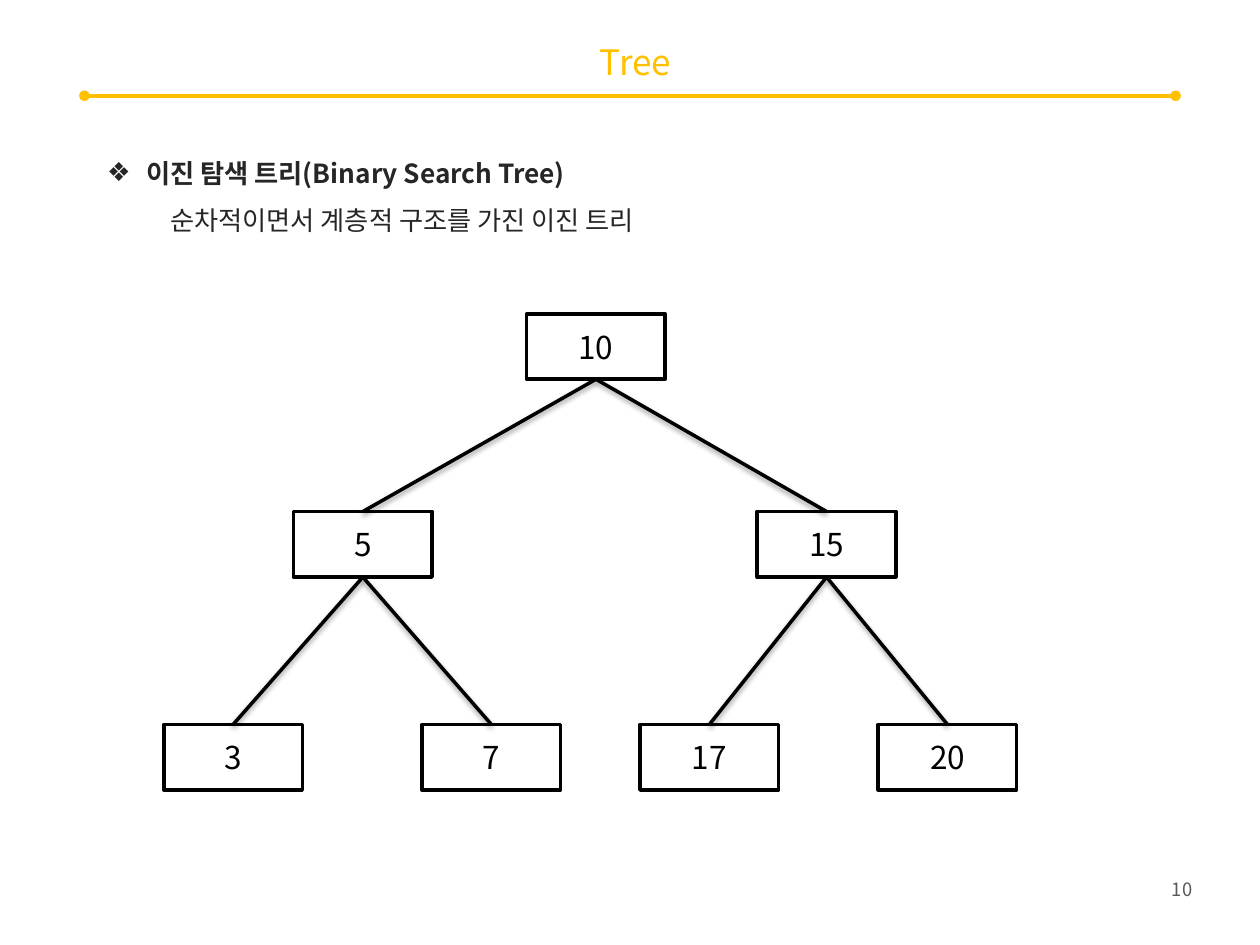
from lxml import etree
from pptx import Presentation
from pptx.dml.color import RGBColor
from pptx.enum.shapes import MSO_CONNECTOR, MSO_SHAPE
from pptx.enum.text import MSO_ANCHOR, MSO_AUTO_SIZE, PP_ALIGN
from pptx.oxml import parse_xml
from pptx.oxml.ns import nsdecls, qn
from pptx.util import Inches, Pt

LINE, RECT = MSO_CONNECTOR.STRAIGHT, MSO_SHAPE.RECTANGLE
TOP, MID = MSO_ANCHOR.TOP, MSO_ANCHOR.MIDDLE
LEFT, CENTER, RIGHT = PP_ALIGN.LEFT, PP_ALIGN.CENTER, PP_ALIGN.RIGHT
NO_FIT = MSO_AUTO_SIZE.NONE

THEME = {
    "font": "Noto Sans CJK KR",
    "gold": "FFC000", "gray": "595959", "dark": "262626",
    "ink": "000000", "paper": "FFFFFF",
    "title": 20, "body": 15, "node": 18, "page": 10.5, "line": 2,
}

deck = Presentation()
deck.slide_width, deck.slide_height = Inches(10), Inches(7.5)
# The grid has 100 columns and 75 rows.
COL, ROW = deck.slide_width / 100, deck.slide_height / 75
slide = deck.slides.add_slide(deck.slide_layouts[1])


def box(left, top, width, height):
    """Turn grid columns and rows into lengths."""
    return [int(n * unit) for n, unit in
            zip((left, top, width, height), (COL, ROW, COL, ROW))]


def write(par, text, size, color, align=LEFT, bold=False):
    par.alignment = align
    run = par.add_run()
    run.text = text
    font = run.font
    font.size, font.bold = Pt(THEME[size]), bold
    font.color.rgb = RGBColor.from_string(THEME[color])
    font.name = THEME["font"]
    east = etree.SubElement(run._r.get_or_add_rPr(), qn("a:ea"))
    east.set("typeface", THEME["font"])


# Title and rule
title = slide.shapes.title
title.left, title.top, title.width, title.height = box(8.3, 3, 84.3, 3.8)
frame = title.text_frame
frame.auto_size, frame.vertical_anchor = NO_FIT, MID
write(frame.paragraphs[0], "Tree", "title", "gold", CENTER)

x, y, span, _ = box(6.7, 7.6, 86.6, 0)
rule = slide.shapes.add_connector(LINE, x, y, x + span, y)
rule.line.color.rgb = RGBColor.from_string(THEME["gold"])
rule.line.width = Pt(THEME["line"])
for end in ("a:headEnd", "a:tailEnd"):
    etree.SubElement(rule.line._get_or_add_ln(), qn(end)).set("type", "oval")
etree.SubElement(rule._element.spPr, qn("a:effectLst"))

# Definition
body = slide.placeholders[1]
body.left, body.top, body.width, body.height = box(7.5, 10.7, 84.2, 8.6)
frame = body.text_frame
frame.auto_size, frame.vertical_anchor = NO_FIT, TOP
items = [
    ("이진 탐색 트리(Binary Search Tree)", True, 0.31, -0.31, "❖"),
    ("순차적이면서 계층적 구조를 가진 이진 트리", False, 0.5, 0, None),
]
for level, (text, bold, margin, indent, mark) in enumerate(items):
    par = frame.add_paragraph() if level else frame.paragraphs[0]
    par.level, par.line_spacing, par.space_before = level, 1.5, Pt(0)
    write(par, text, "body", "dark", bold=bold)
    props = par._p.get_or_add_pPr()
    props.set("marL", str(Inches(margin)))
    props.set("indent", str(Inches(indent)))
    if mark:
        etree.SubElement(props, qn("a:buChar")).set("char", mark)
    else:
        etree.SubElement(props, qn("a:buNone"))

# Tree, level by level: each level is its top row and (key, left column) pairs
levels = [
    (24.9, [("10", 41.8)]),
    (40.6, [("5", 23.3), ("15", 60.1)]),
    (57.5, [("3", 13), ("7", 33.5), ("17", 50.8), ("20", 69.7)]),
]
nodes = []
for top, keys in levels:
    for key, left in keys:
        node = slide.shapes.add_shape(RECT, *box(left, top, 11, 5.2))
        node.shadow.inherit = False
        node.fill.solid()
        node.fill.fore_color.rgb = RGBColor.from_string(THEME["paper"])
        node.line.color.rgb = RGBColor.from_string(THEME["ink"])
        node.line.width = Pt(THEME["line"])
        node.text_frame.vertical_anchor = MID
        write(node.text_frame.paragraphs[0], key, "node", "ink", CENTER)
        nodes.append(node)

SHADOW = (
    f'<a:effectLst {nsdecls("a")}><a:outerShdw blurRad="40000" dist="20000" '
    f'dir="5400000" rotWithShape="0"><a:srgbClr val="{THEME["ink"]}">'
    '<a:alpha val="38000"/></a:srgbClr></a:outerShdw></a:effectLst>'
)
for i, child in enumerate(nodes[1:]):
    edge = slide.shapes.add_connector(LINE, 0, 0, 0, 0)
    edge.begin_connect(nodes[i // 2], 2)
    edge.end_connect(child, 0)
    edge.line.color.rgb = RGBColor.from_string(THEME["ink"])
    edge.line.width = Pt(THEME["line"])
    edge._element.spPr.append(parse_xml(SHADOW))

# Page number
page = slide.shapes.add_textbox(*box(89.7, 69.2, 5.9, 2.9))
page.text_frame.word_wrap = False
write(page.text_frame.paragraphs[0], "10", "page", "gray", RIGHT)

deck.save("out.pptx")
